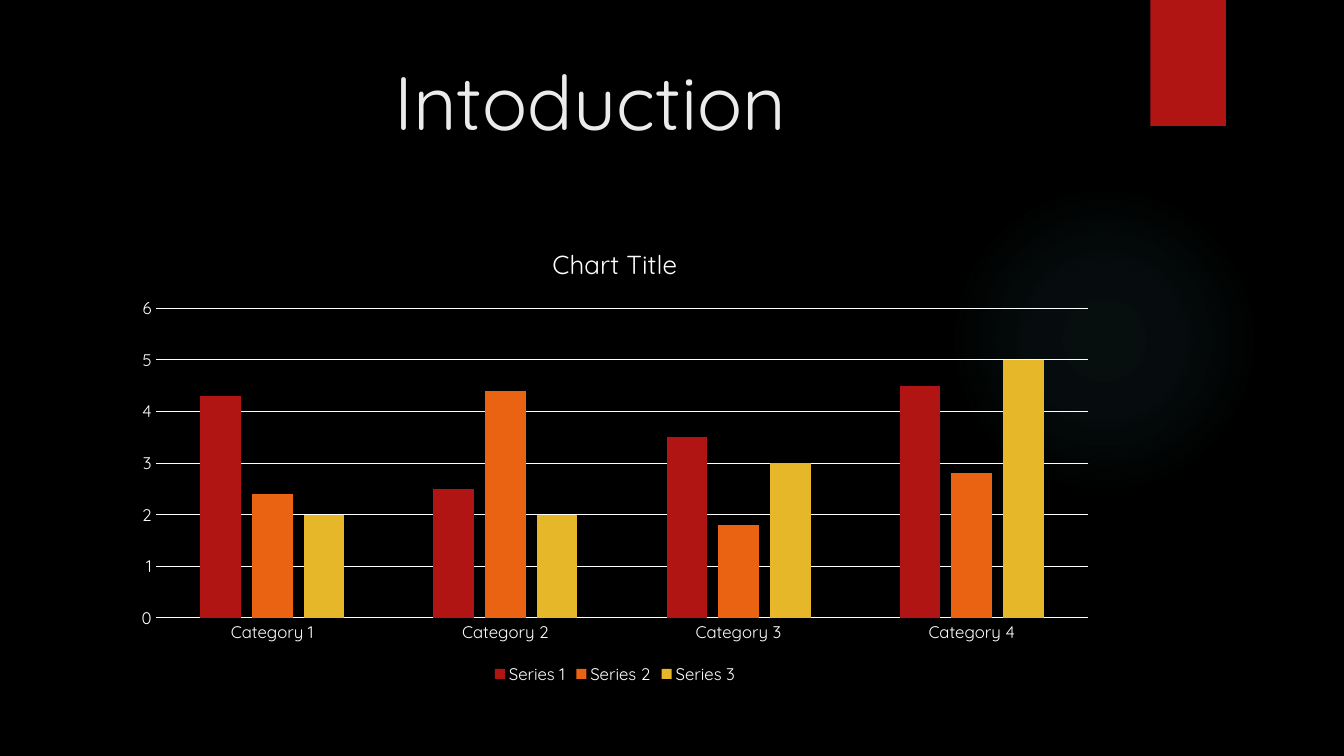
from lxml import etree
from pptx import Presentation
from pptx.chart.data import CategoryChartData
from pptx.dml.color import RGBColor
from pptx.enum import chart as charts, shapes, text
from pptx.oxml import parse_xml
from pptx.oxml.ns import nsdecls, qn
from pptx.util import Inches, Pt

BLACK = RGBColor(0x00, 0x00, 0x00)
WHITE = RGBColor(0xFF, 0xFF, 0xFF)
TITLE_GREY = RGBColor(0xEB, 0xEB, 0xEB)
RED = RGBColor(0xB0, 0x15, 0x13)
ORANGE = RGBColor(0xEA, 0x63, 0x12)
YELLOW = RGBColor(0xE6, 0xB7, 0x29)
TEAL = RGBColor(0x50, 0xB9, 0xC1)


def write(frame, words, size, color, align=text.PP_ALIGN.CENTER):
    para = frame.paragraphs[0]
    para.alignment = align
    span = para.add_run()
    span.text = words
    style_font(span.font, size, color)


def style_font(font, size, color=WHITE):
    font.name = "Quicksand"
    font.size = Pt(size)
    font.bold = False
    font.color.rgb = color


deck = Presentation()
deck.slide_width, deck.slide_height = Inches(13.33), Inches(7.5)
page = deck.slides.add_slide(deck.slide_layouts[6])
page.background.fill.solid()
page.background.fill.fore_color.rgb = BLACK

# Soft round glow, fading outwards
glow = page.shapes.add_shape(shapes.MSO_SHAPE.OVAL, Inches(9.41), Inches(1.83), Inches(3.08), Inches(3.08))
glow.shadow.inherit = False
glow.line.fill.background()
stops = "".join(
    f'<a:gs pos="{place * 1000}"><a:srgbClr val="{TEAL}"><a:alpha val="{alpha * 1000}"/></a:srgbClr></a:gs>'
    for place, alpha in [(0, 7), (36, 6), (69, 0)]
)
glow_fill = parse_xml(
    f'<a:gradFill {nsdecls("a")} rotWithShape="1"><a:gsLst>{stops}</a:gsLst>'
    '<a:path path="circle"><a:fillToRect l="50000" t="50000" r="50000" b="50000"/></a:path></a:gradFill>'
)
glow.element.spPr.find(qn("a:prstGeom")).addnext(glow_fill)

# Red tab at the top edge
tab = page.shapes.add_shape(shapes.MSO_SHAPE.RECTANGLE, Inches(11.41), 0, Inches(0.75), Inches(1.25))
tab.shadow.inherit = False
tab.fill.solid()
tab.fill.fore_color.rgb = RED
tab.line.fill.background()

# Title
title = page.shapes.add_textbox(Inches(0.71), Inches(0.5), Inches(10.29), Inches(1.53))
title.text_frame.word_wrap = True
write(title.text_frame, "Intoduction", 54, TITLE_GREY)

# Chart data
data = CategoryChartData()
data.categories = [f"Category {number}" for number in range(1, 5)]
data.add_series("Series 1", (4.3, 2.5, 3.5, 4.5))
data.add_series("Series 2", (2.4, 4.4, 1.8, 2.8))
data.add_series("Series 3", (2, 2, 3, 5))
chart = page.shapes.add_chart(
    charts.XL_CHART_TYPE.COLUMN_CLUSTERED, Inches(1.21), Inches(2.24), Inches(9.78), Inches(4.59), data
).chart
style_font(chart.font, 10)

# Chart title and legend
chart.has_title = True
write(chart.chart_title.text_frame, "Chart Title", 18.6, WHITE)
chart.chart_title.include_in_layout = False
chart.has_legend = True
chart.legend.position = charts.XL_LEGEND_POSITION.BOTTOM
chart.legend.include_in_layout = False
style_font(chart.legend.font, 12)

# Columns
plot = chart.plots[0]
plot.gap_width = 219
plot.overlap = -27
plot.vary_by_categories = False
for series, color in zip(plot.series, (RED, ORANGE, YELLOW)):
    series.invert_if_negative = False
    series.format.fill.solid()
    series.format.fill.fore_color.rgb = color

# Axes and gridlines
for axis in (chart.category_axis, chart.value_axis):
    axis.major_tick_mark = axis.minor_tick_mark = charts.XL_TICK_MARK.NONE
    style_font(axis.tick_labels.font, 12)
chart.value_axis.minimum_scale = 0
chart.value_axis.maximum_scale = 6
chart.value_axis.major_unit = 1
chart.value_axis.format.line.fill.background()
chart.value_axis.has_major_gridlines = True
for line in (chart.category_axis.format.line, chart.value_axis.major_gridlines.format.line):
    line.color.rgb = WHITE
    line.width = Pt(0.75)

deck.save("out.pptx")
